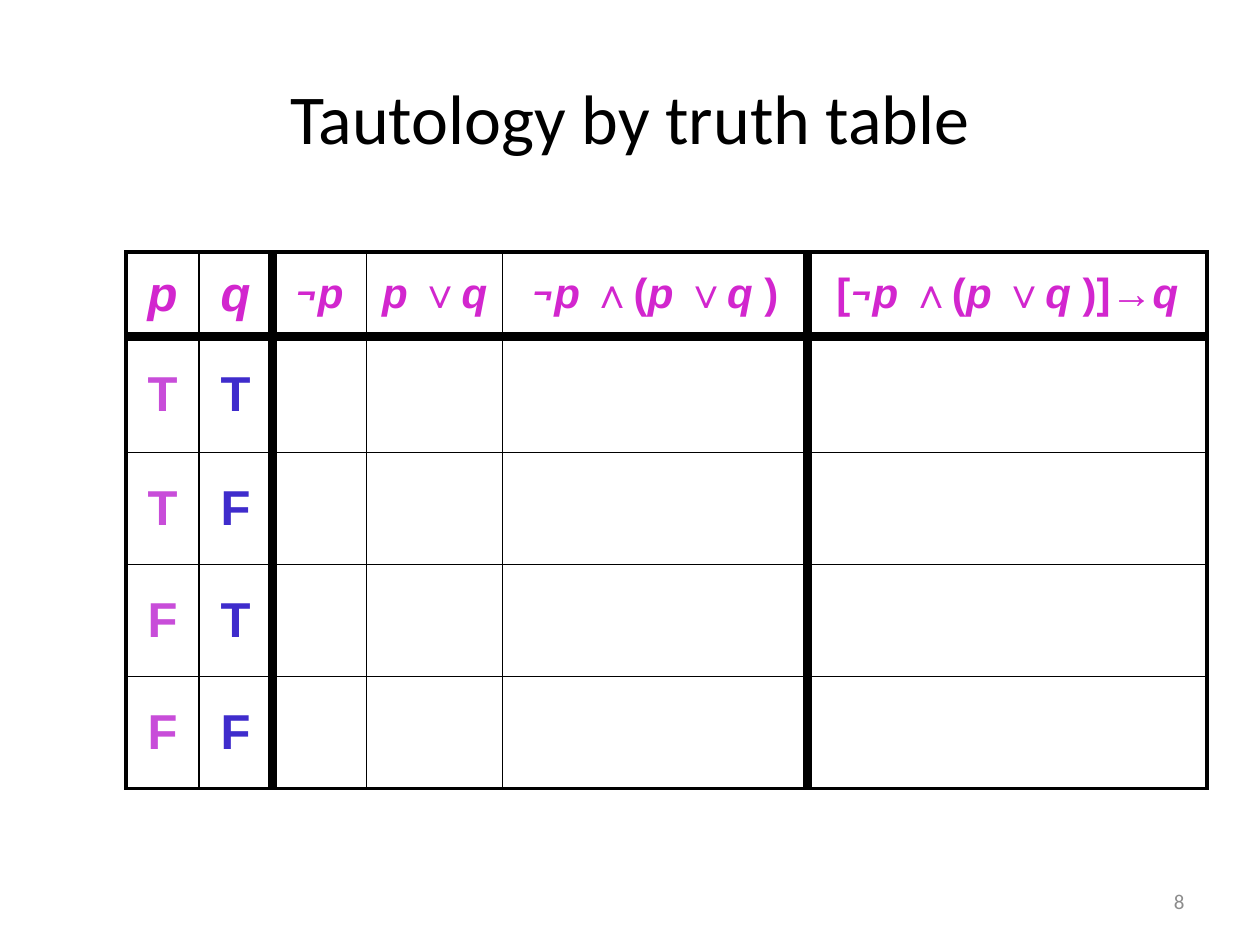
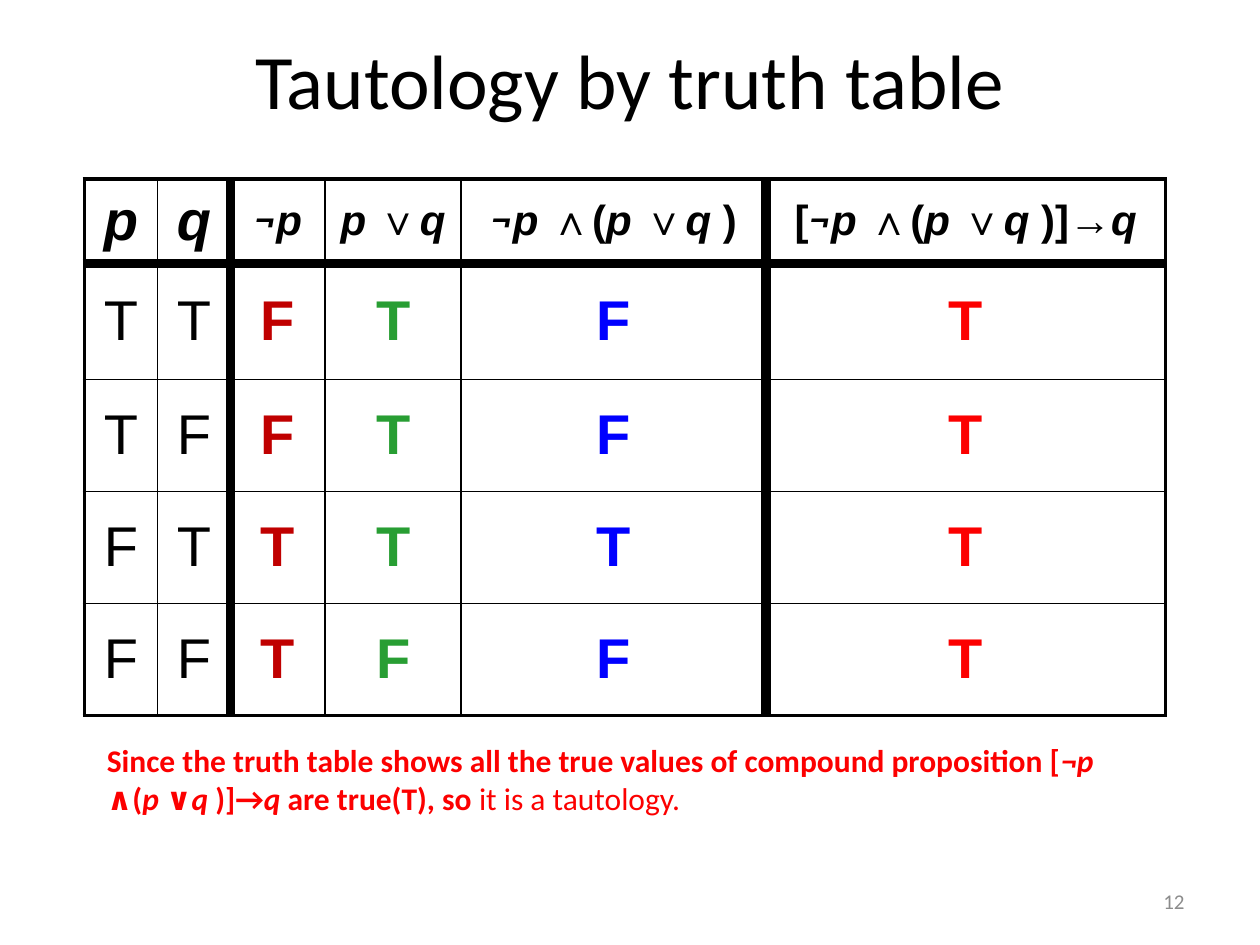
from dataclasses import dataclass
from itertools import groupby

from lxml.etree import SubElement
from pptx import Presentation
from pptx.dml.color import RGBColor
from pptx.enum.text import MSO_ANCHOR, PP_ALIGN
from pptx.oxml.ns import qn
from pptx.util import Inches, Pt


@dataclass(frozen=True)
class Theme:
    black: str = "000000"
    gray: str = "8C8C8C"
    magenta: str = "D226CE"
    violet: str = "C84DD9"
    indigo: str = "3F2CCC"
    maroon: str = "C00000"
    green: str = "289E33"
    blue: str = "0000FF"
    red: str = "FC0000"
    body: str = "Calibri"
    grid: str = "Arial"
    symbol: str = "Roboto"
    term: int = 24
    note: int = 18
    number: int = 12


THEME = Theme()
TITLE = "Tautology by truth table"
CLAIM = "[¬p ∧(p ∨q )]→q"
HEADS = ["p", "q", "¬p", "p ∨q", "¬p ∧(p ∨q )", CLAIM]
WIDTHS = [0.58, 0.58, 0.75, 1.08, 2.42, 3.17]
HEIGHTS = [0.67, 0.92, 0.89, 0.89, 0.89]
UPRIGHT = [2.25, 1, 6, 1, 1, 6, 2.25]
LEVEL = [2.25, 6, 0.25, 1, 1, 2.25]


def write(frame, runs, align=PP_ALIGN.LEFT, anchor=MSO_ANCHOR.TOP, **base):
    """Fill one paragraph; each run is (text, changes to the base format)."""
    frame.word_wrap = True
    frame.vertical_anchor = anchor
    para = frame.paragraphs[0]
    para.alignment = align
    for text, change in runs:
        form = base | change
        run = para.add_run()
        run.text = text
        font = run.font
        font.name = form.get("face", THEME.body)
        font.size = Pt(form["size"])
        font.color.rgb = RGBColor.from_string(form["color"])
        font.bold = form.get("bold", False)
        font.italic = form.get("italic", False)


def logic(text, symbol):
    """Split a formula into runs: slanted letters, upright signs."""
    def kind(char):
        return "not" if char == "¬" else "letter" if char in "pq " else "sign"

    runs = []
    for name, chars in groupby(text, kind):
        form = {"italic": name != "sign"}
        if name == "not":
            form["face"] = symbol
        runs.append(("".join(chars), form))
    return runs


def edge(cell, row, col):
    """Draw the four borders of a cell."""
    props = cell._tc.get_or_add_tcPr()
    sides = {"L": UPRIGHT[col], "R": UPRIGHT[col + 1],
             "T": LEVEL[row], "B": LEVEL[row + 1]}
    for side, width in sides.items():
        line = SubElement(props, qn(f"a:ln{side}"), w=str(Pt(width)))
        fill = SubElement(line, qn("a:solidFill"))
        SubElement(fill, qn("a:srgbClr"), val=THEME.black)


class Deck:
    def __init__(self, theme):
        self.theme = theme
        self.show = Presentation()
        self.show.slide_width = Inches(10)
        self.show.slide_height = Inches(7.5)
        self.slide = None

    def start(self, number, top, size):
        """Add a slide with its title and number."""
        self.slide = self.show.slides.add_slide(self.show.slide_layouts[5])
        title = self.slide.shapes.title
        title.left, title.top = Inches(0.5), Inches(top)
        title.width, title.height = Inches(9), Inches(1.25)
        write(title.text_frame, [(TITLE, {})], PP_ALIGN.CENTER,
              MSO_ANCHOR.MIDDLE, size=size, color=self.theme.black)
        self.text(7.17, 6.95, 2.33, 0.4, [(str(number), {})],
                  align=PP_ALIGN.RIGHT, anchor=MSO_ANCHOR.MIDDLE,
                  size=self.theme.number, color=self.theme.gray)

    def text(self, left, top, width, height, runs, **form):
        box = self.slide.shapes.add_textbox(
            Inches(left), Inches(top), Inches(width), Inches(height))
        write(box.text_frame, runs, **form)

    def table(self, left, top, rows, size, head, colors, bold):
        """Draw a truth table; colors and bold go by column."""
        theme = self.theme
        frame = self.slide.shapes.add_table(
            len(HEIGHTS), len(WIDTHS), Inches(left), Inches(top),
            Inches(sum(WIDTHS)), Inches(sum(HEIGHTS)))
        grid = frame.table
        grid.first_row = grid.horz_banding = False
        for col, width in zip(grid.columns, WIDTHS):
            col.width = Inches(width)
        for row, height in zip(grid.rows, HEIGHTS):
            row.height = Inches(height)
        for r in range(len(HEIGHTS)):
            for c in range(len(WIDTHS)):
                cell = grid.cell(r, c)
                edge(cell, r, c)
                cell.fill.background()
                form = {"face": theme.grid, "size": size}
                if r == 0:
                    runs = logic(HEADS[c], theme.symbol)
                    form |= {"color": head, "bold": True}
                    if c > 1:
                        form["size"] = theme.term
                elif c < len(rows[r - 1]):
                    runs = [(rows[r - 1][c], {})]
                    form |= {"color": colors[c], "bold": bold[c]}
                else:
                    continue
                cell.vertical_anchor = MSO_ANCHOR.MIDDLE
                write(cell.text_frame, runs, PP_ALIGN.CENTER,
                      MSO_ANCHOR.MIDDLE, **form)


def main():
    deck = Deck(THEME)

    deck.start(8, top=0.3, size=40)
    deck.table(1, 2, ["TT", "TF", "FT", "FF"], size=28, head=THEME.magenta,
               colors=[THEME.violet, THEME.indigo], bold=[True, True])

    deck.start(12, top=0, size=44)
    deck.table(0.67, 1.42, ["TTFTFT", "TFFTFT", "FTTTTT", "FFTFFT"], size=32,
               head=THEME.black,
               colors=[THEME.black, THEME.black, THEME.maroon, THEME.green,
                       THEME.blue, THEME.red],
               bold=[False] * 2 + [True] * 4)
    lead = "Since the truth table shows all the true values of compound proposition "
    runs = [(lead, {}), *logic(CLAIM, THEME.body), (" are true(T), so ", {}),
            ("it is a tautology.", {"bold": False})]
    deck.text(0.75, 5.83, 8.33, 0.7, runs, size=THEME.note,
              color=THEME.red, bold=True)

    deck.show.save("out.pptx")


if __name__ == "__main__":
    main()
